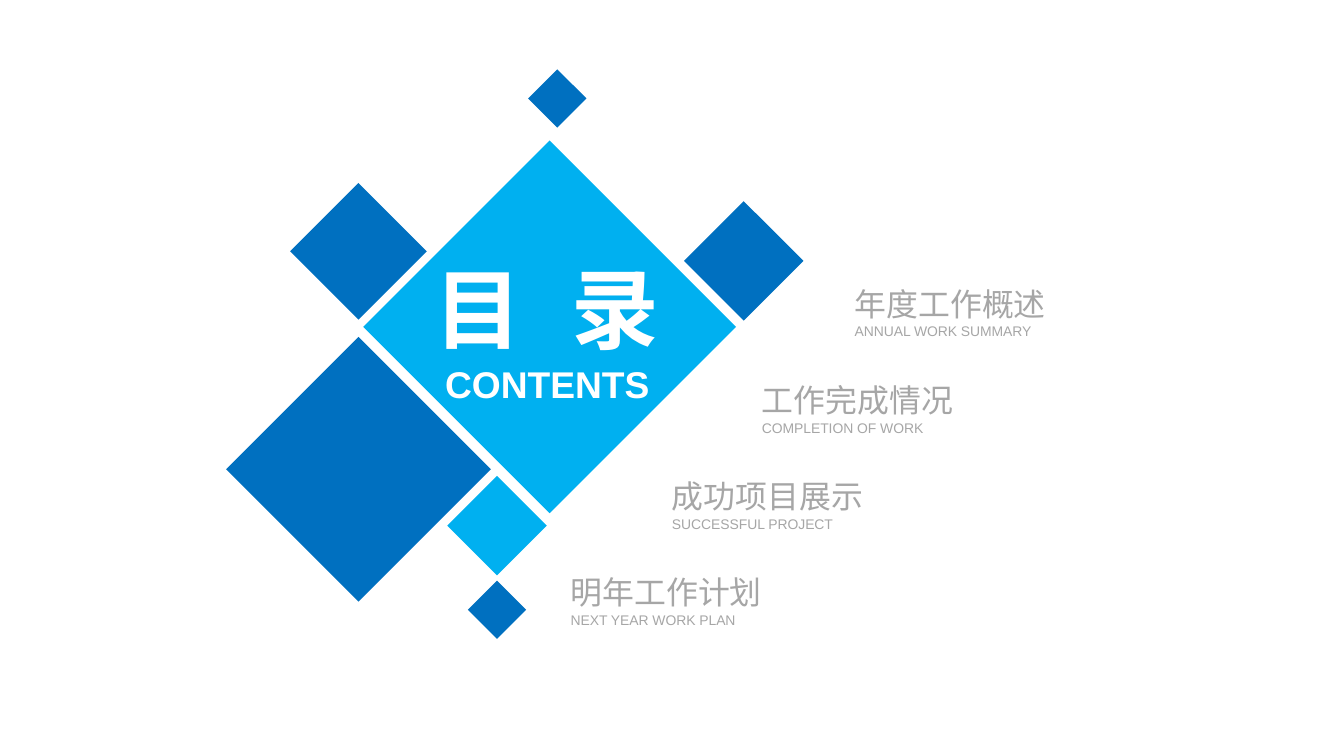
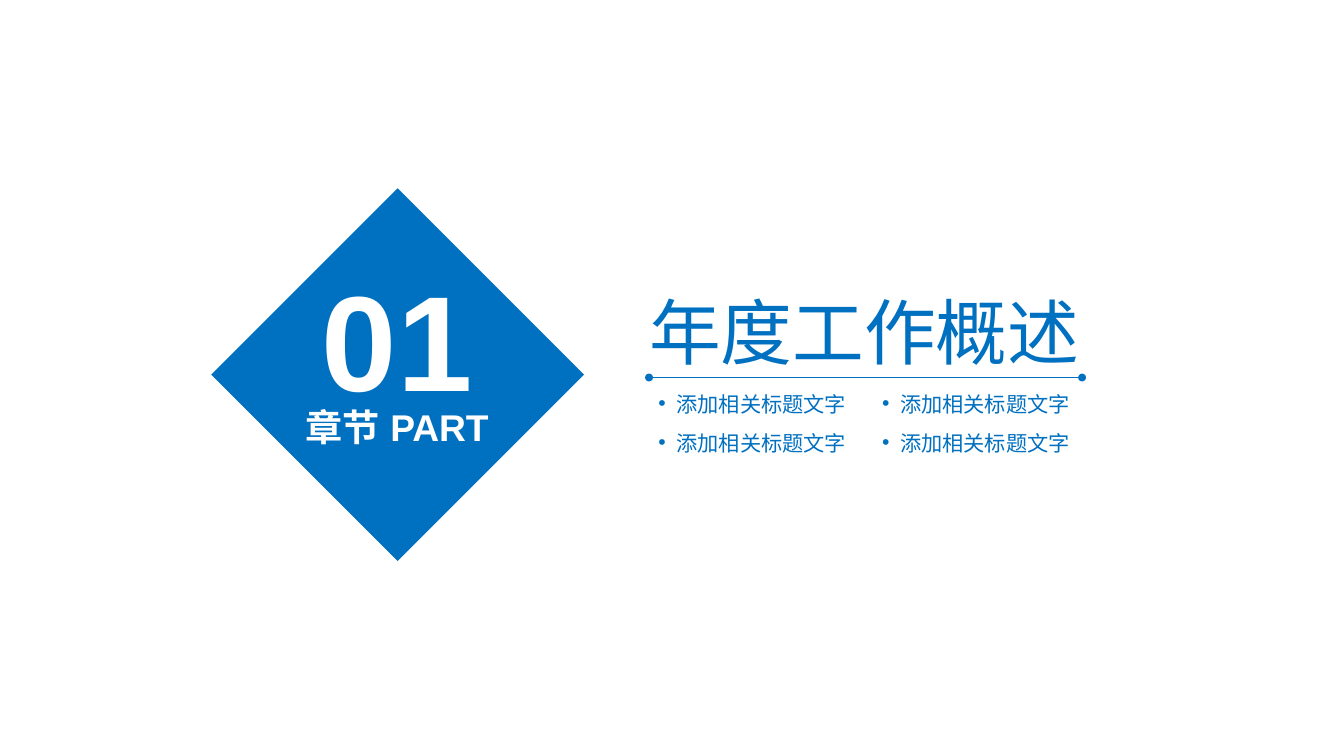
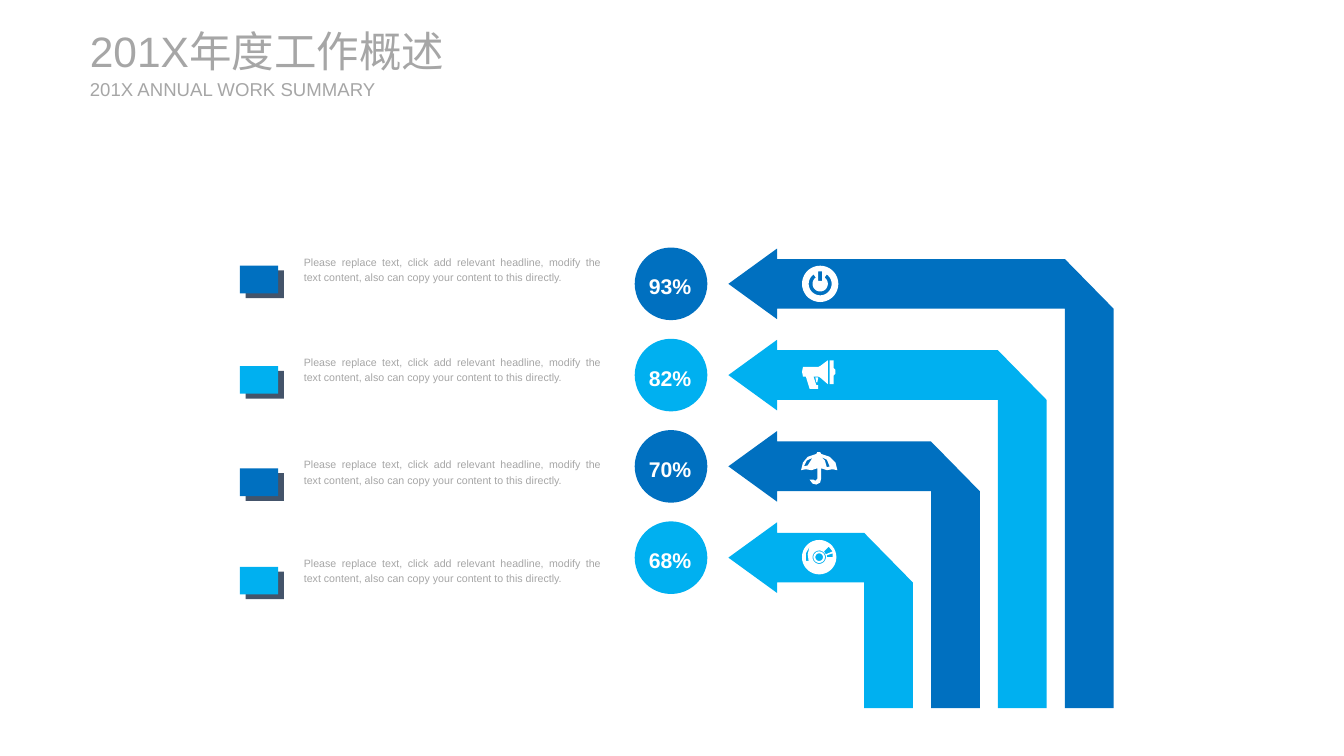
"""Build a contents slide, a section slide and an arrow summary slide."""
import math

import lxml.etree
import pptx
import pptx.dml.color
import pptx.enum.shapes
import pptx.enum.text
import pptx.oxml.ns
import pptx.util

Inches = pptx.util.Inches
RGBColor = pptx.dml.color.RGBColor
SHAPE = pptx.enum.shapes.MSO_SHAPE
ALIGN = pptx.enum.text.PP_ALIGN
ANCHOR = pptx.enum.text.MSO_ANCHOR
qn = pptx.oxml.ns.qn

BLUE = RGBColor(0x00, 0x70, 0xC0)
CYAN = RGBColor(0x00, 0xB0, 0xF0)
WHITE = RGBColor(0xFF, 0xFF, 0xFF)
GREY = RGBColor(0xA6, 0xA6, 0xA6)
SLATE = RGBColor(0x44, 0x54, 0x6A)
FONT = "Arial"
BODY = ("Please replace text, click add relevant headline, modify the text "
        "content, also can copy your content to this directly.")


def paint(shape, fill):
    shape.shadow.inherit = False
    shape.fill.solid()
    shape.fill.fore_color.rgb = fill
    shape.line.fill.background()


def draw(slide, kind, left, top, width, height, fill):
    shape = slide.shapes.add_shape(
        kind, Inches(left), Inches(top), Inches(width), Inches(height))
    paint(shape, fill)


def diamond(slide, x, y, size, fill):
    draw(slide, SHAPE.DIAMOND, x - size / 2, y - size / 2, size, size, fill)


def outline(slide, fill, *paths):
    build = None
    for path in paths:
        points = [(Inches(x), Inches(y)) for x, y in path]
        if build is None:
            build = slide.shapes.build_freeform(*points[0], scale=1.0)
        else:
            build.move_to(*points[0])
        build.add_line_segments(points[1:], close=True)
    paint(build.convert_to_shape(), fill)


def arc(x, y, radius, start=0, end=360):
    steps = 36
    turns = [math.radians(start + (end - start) * i / steps)
             for i in range(steps + 1)]
    return [(x + radius * math.cos(t), y + radius * math.sin(t))
            for t in turns]


def box(slide, left, top, width, height, inset=0, wrap=True,
        anchor=ANCHOR.TOP):
    shape = slide.shapes.add_textbox(
        Inches(left), Inches(top), Inches(width), Inches(height))
    frame = shape.text_frame
    frame.word_wrap = wrap
    frame.auto_size = pptx.enum.text.MSO_AUTO_SIZE.SHAPE_TO_FIT_TEXT
    frame.vertical_anchor = anchor
    frame.margin_left = frame.margin_right = Inches(inset)
    frame.margin_top = frame.margin_bottom = Inches(inset / 2)
    return frame


def write(para, text, size, color, bold=False, gap=0):
    run = para.add_run()
    run.text = text
    font = run.font
    font.size = pptx.util.Pt(size)
    font.bold = bold
    font.color.rgb = color
    font.name = FONT
    props = run._r.get_or_add_rPr()
    lxml.etree.SubElement(props, qn("a:ea")).set("typeface", FONT)
    if gap:
        props.set("spc", str(round(gap * 100)))


def label(slide, place, text, size, color, bold=False, align=ALIGN.LEFT,
          space=None, **frame):
    para = box(slide, *place, **frame).paragraphs[0]
    para.alignment = align
    para.line_spacing = space
    write(para, text, size, color, bold)
    return para


def entry(slide, left, top, name, note):
    frame = box(slide, left, top, 2.6, 0.58)
    write(frame.paragraphs[0], name, 24, GREY)
    write(frame.add_paragraph(), note, 10.5, GREY)


def bullet(slide, left, top, text):
    para = label(slide, (left, top, 2.19, 0.37), text, 16, BLUE,
                 inset=0.1, wrap=False)
    para.level = 1
    props = para._p.get_or_add_pPr()
    props.set("marL", str(Inches(0.19)))
    props.set("indent", str(-Inches(0.19)))
    lxml.etree.SubElement(props, qn("a:buFont")).set("typeface", FONT)
    lxml.etree.SubElement(props, qn("a:buChar")).set("char", "•")


def rule(slide, left, right, y):
    line = slide.shapes.add_connector(
        pptx.enum.shapes.MSO_CONNECTOR.STRAIGHT,
        Inches(left), Inches(y), Inches(right), Inches(y))
    line.line.color.rgb = BLUE
    line.line.width = pptx.util.Pt(1)
    stroke = line.line._get_or_add_ln()
    for end in ("a:headEnd", "a:tailEnd"):
        lxml.etree.SubElement(stroke, qn(end)).set("type", "oval")
    lxml.etree.SubElement(line._element.spPr, qn("a:effectLst"))


def arrow(slide, y, right, fill):
    tip, neck, foot = 7.62, 8.13, 7.41
    half, wing, band = 0.26, 0.37, 0.51
    outline(slide, fill, [
        (tip, y), (neck, y - wing), (neck, y - half),
        (right - band, y - half), (right, y + half), (right, foot),
        (right - band, foot), (right - band, y + half),
        (neck, y + half), (neck, y + wing)])


def power(slide):
    x, y = 8.58, 2.97
    ring = arc(x, y, 0.12, -55, 235) + arc(x, y, 0.08, 235, -55)
    bar = [(8.56, 2.84), (8.56, 2.94), (8.6, 2.94), (8.6, 2.84)]
    outline(slide, WHITE, arc(x, y, 0.19), ring, bar)


def horn(slide):
    body = [(8.4, 3.84), (8.56, 3.84), (8.58, 3.83), (8.66, 3.77),
            (8.66, 4.02), (8.58, 3.95), (8.56, 3.94), (8.51, 3.94),
            (8.54, 4.03), (8.56, 4.03), (8.56, 4.07), (8.47, 4.07),
            (8.43, 3.94), (8.4, 3.94), (8.39, 3.89)]
    rim = [(8.68, 3.77), (8.72, 3.77), (8.72, 3.85), (8.74, 3.87),
           (8.74, 3.91), (8.72, 3.93), (8.72, 4.02), (8.68, 4.02)]
    slot = [(8.53, 3.95), (8.56, 3.95), (8.55, 4), (8.54, 4)]
    outline(slide, WHITE, body, rim, slot)


def shade(slide):
    cover = [(8.38, 4.92), (8.4, 4.84), (8.45, 4.78), (8.54, 4.75),
             (8.55, 4.73), (8.58, 4.73), (8.59, 4.75), (8.68, 4.78),
             (8.74, 4.84), (8.76, 4.92), (8.71, 4.91), (8.65, 4.92),
             (8.59, 4.9), (8.59, 5.01), (8.58, 5.05), (8.54, 5.07),
             (8.5, 5.06), (8.47, 5.02), (8.51, 5.02), (8.53, 5.03),
             (8.55, 5.01), (8.55, 4.9), (8.49, 4.92), (8.43, 4.91)]
    right = [(8.65, 4.89), (8.68, 4.88), (8.65, 4.81), (8.59, 4.78),
             (8.63, 4.82)]
    left = [(8.41, 4.88), (8.45, 4.87), (8.5, 4.79), (8.44, 4.82)]
    outline(slide, WHITE, cover, right, left)


def disc(slide):
    x, y = 8.57, 5.83
    rings = [arc(x, y, size) for size in (0.18, 0.07, 0.06, 0.04)]
    glint = [(8.47, 5.72), (8.43, 5.79), (8.43, 5.87), (8.46, 5.87),
             (8.45, 5.8)]
    upper = [(8.62, 5.77), (8.67, 5.72), (8.71, 5.77), (8.64, 5.8)]
    lower = [(8.65, 5.81), (8.71, 5.79), (8.71, 5.83), (8.65, 5.83)]
    outline(slide, WHITE, *rings, glint, upper, lower)


def score(slide, y, text, fill):
    draw(slide, SHAPE.OVAL, 6.64, y - 0.38, 0.76, 0.76, fill)
    label(slide, (6.69, y - 0.21, 0.65, 0.42), text, 16, WHITE, True,
          ALIGN.JUSTIFY, 1.2, inset=0.1, wrap=False)


def note(slide, top, fill):
    draw(slide, SHAPE.RECTANGLE, 2.57, top + 0.05, 0.4, 0.29, SLATE)
    draw(slide, SHAPE.RECTANGLE, 2.51, top, 0.4, 0.29, fill)
    label(slide, (3.08, top - 0.18, 3.31, 0.41), BODY, 8, GREY,
          align=ALIGN.JUSTIFY, space=1.2, inset=0.1)


def contents(slide):
    for x, y, size, fill in (
            (3.75, 2.63, 1.43, BLUE), (5.75, 3.42, 3.9, CYAN),
            (3.75, 4.91, 2.77, BLUE), (5.2, 5.5, 1.04, CYAN),
            (7.78, 2.73, 1.25, BLUE), (5.2, 6.38, 0.61, BLUE),
            (5.83, 1.03, 0.61, BLUE)):
        diamond(slide, x, y, size, fill)
    head = box(slide, 4.15, 2.66, 3.14, 1.11, anchor=ANCHOR.MIDDLE)
    para = head.paragraphs[0]
    para.alignment = ALIGN.CENTER
    write(para, "目", 66, WHITE, True)
    write(para, " ", 66, WHITE, True, gap=18.3)
    write(para, "录", 66, WHITE, True)
    label(slide, (4.17, 3.78, 3.11, 0.47), "CONTENTS", 28, WHITE, True,
          ALIGN.CENTER)
    items = ((8.94, "年度工作概述", "ANNUAL WORK SUMMARY"),
             (7.97, "工作完成情况", "COMPLETION OF WORK"),
             (7.03, "成功项目展示", "SUCCESSFUL PROJECT"),
             (5.97, "明年工作计划", "NEXT YEAR WORK PLAN"))
    for i, (left, name, text) in enumerate(items):
        entry(slide, left, 2.98 + 1.005 * i, name, text)


def section(slide):
    diamond(slide, 4.16, 3.92, 3.9, BLUE)
    label(slide, (3.23, 2.68, 1.85, 1.72), "01", 102, WHITE, True,
          ALIGN.CENTER)
    rule(slide, 6.79, 11.32, 3.95)
    label(slide, (2.26, 4.23, 3.79, 0.47), "章节 PART", 28, WHITE, True,
          ALIGN.CENTER)
    label(slide, (6.79, 3.01, 4.89, 0.91), "年度工作概述", 54, BLUE)
    for top in (4.04, 4.45):
        for left in (6.79, 9.13):
            bullet(slide, left, top, "添加相关标题文字")


def summary(slide):
    rows = (("93%", 2.78, BLUE, power), ("82%", 3.83, CYAN, horn),
            ("70%", 4.9, BLUE, shade), ("68%", 5.93, CYAN, disc))
    for i, (text, top, fill, icon) in enumerate(rows):
        y = 2.97 + 0.955 * i
        score(slide, y, text, fill)
        arrow(slide, y, 11.65 - 0.7 * i, fill)
        icon(slide)
        note(slide, top, fill)
    label(slide, (0.94, 0.26, 4.32, 0.54), "201X年度工作概述", 32, GREY,
          anchor=ANCHOR.MIDDLE)
    label(slide, (0.94, 0.81, 3.07, 0.24), "201X ANNUAL WORK SUMMARY", 14,
          GREY, anchor=ANCHOR.MIDDLE)


def main():
    deck = pptx.Presentation()
    deck.slide_width = Inches(14.06)
    deck.slide_height = Inches(7.91)
    for fill in (contents, section, summary):
        fill(deck.slides.add_slide(deck.slide_layouts[6]))
    deck.save("out.pptx")


if __name__ == "__main__":
    main()
